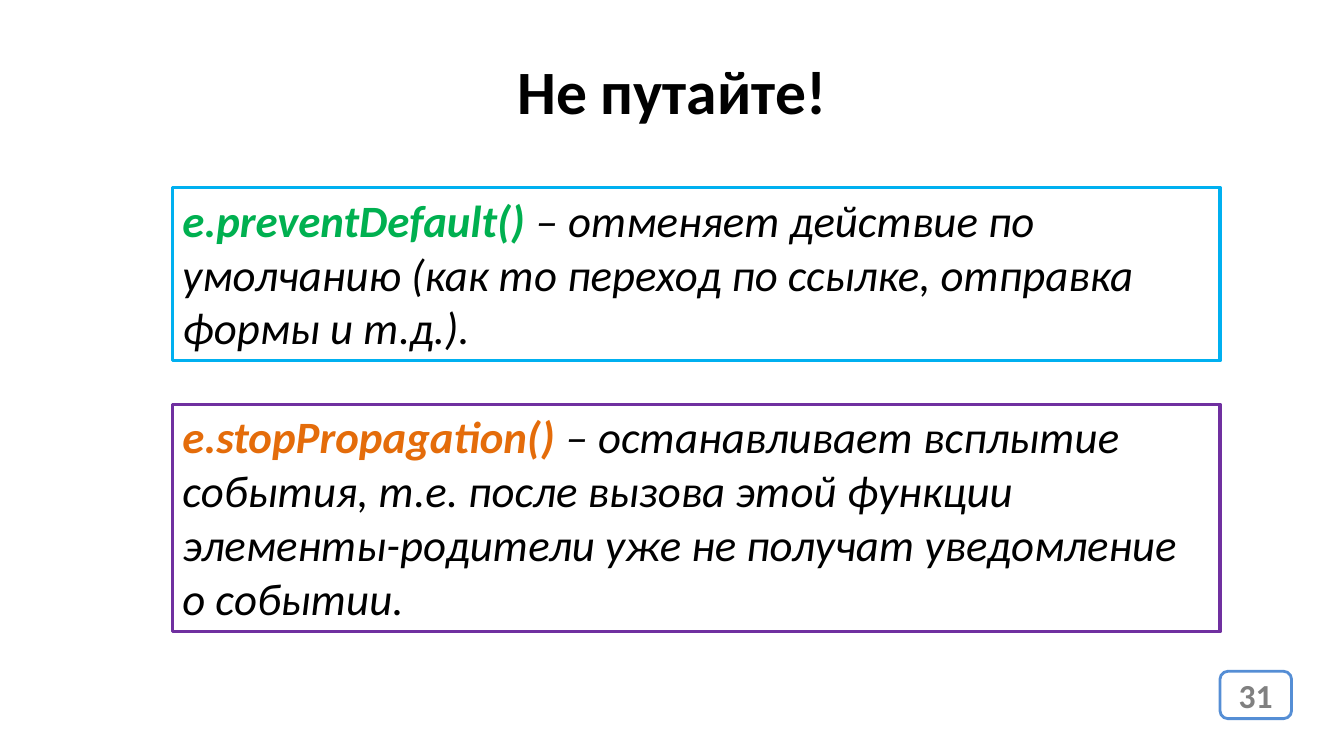
from pptx import Presentation
from pptx.dml.color import RGBColor
from pptx.enum.shapes import MSO_SHAPE
from pptx.enum.text import MSO_ANCHOR, PP_ALIGN
from pptx.util import Inches, Pt

FONT = "Calibri"
COLORS = {
    "white": "FFFFFF", "black": "000000", "gray": "808080",
    "blue": "558ED5", "cyan": "00B0F0", "green": "00B050",
    "purple": "7030A0", "orange": "E46C0A",
}
NOTES = [
    (1.86, 1.72, "cyan", "green", "e.preventDefault() ",
     "– отменяет действие по умолчанию (как то переход по ссылке, "
     "отправка формы и т.д.)."),
    (4.01, 2.26, "purple", "orange", "e.stopPropagation() ",
     "– останавливает всплытие события, т.е. после вызова этой функции "
     "элементы-родители уже не получат уведомление о событии."),
]


def color(name):
    """Return the named colour."""
    return RGBColor.from_string(COLORS[name])


def style(font, size, bold=None, italic=None, tint=None):
    """Set the face, size and look of a font."""
    font.name, font.size = FONT, Pt(size)
    font.bold, font.italic = bold, italic
    if tint:
        font.color.rgb = color(tint)


def add_frame(slide, kind, box, edge, width):
    """Add an outlined shape in the box and return it."""
    shape = slide.shapes.add_shape(kind, *map(Inches, box))
    shape.shadow.inherit = False
    shape.fill.background()
    shape.line.color.rgb = color(edge)
    shape.line.width = Pt(width)
    shape.text_frame.word_wrap = True
    return shape


def add_title(slide, box, text):
    """Place the slide title in the box."""
    title = slide.shapes.title
    title.left, title.top, title.width, title.height = map(Inches, box)
    title.text_frame.text = text
    title.text_frame.vertical_anchor = MSO_ANCHOR.TOP
    para = title.text_frame.paragraphs[0]
    para.alignment = PP_ALIGN.CENTER
    style(para.font, 44, bold=True, tint="black")


def add_note(slide, box, edge, tint, term, text):
    """Add a framed note that explains one method."""
    frame = add_frame(slide, MSO_SHAPE.RECTANGLE, box, edge, 2.25).text_frame
    frame.vertical_anchor = MSO_ANCHOR.TOP
    para = frame.paragraphs[0]
    para.alignment = PP_ALIGN.LEFT
    style(para.font, 32, italic=True)
    for words, bold, shade in ((term, True, tint), (text, False, "black")):
        run = para.add_run()
        run.text = words
        run.font.bold = bold
        run.font.color.rgb = color(shade)


def add_number(slide, box, text):
    """Add the page number badge."""
    badge = add_frame(slide, MSO_SHAPE.ROUNDED_RECTANGLE, box, "blue", 2)
    badge.fill.solid()
    badge.fill.fore_color.rgb = color("white")
    frame = badge.text_frame
    frame.text = text
    frame.vertical_anchor = MSO_ANCHOR.MIDDLE
    para = frame.paragraphs[0]
    para.alignment = PP_ALIGN.CENTER
    style(para.font, 24, bold=True, tint="gray")


def main():
    """Build and save the slide."""
    deck = Presentation()
    deck.slide_width, deck.slide_height = Inches(13.33), Inches(7.5)
    slide = deck.slides.add_slide(deck.slide_layouts[5])
    add_number(slide, (12.1, 6.66, 0.71, 0.47), "31")
    add_title(slide, (0, 0.47, 13.33, 0.84), "Не путайте!")
    for top, height, *note in NOTES:
        add_note(slide, (1.71, top, 10.39, height), *note)
    deck.save("out.pptx")


if __name__ == "__main__":
    main()
